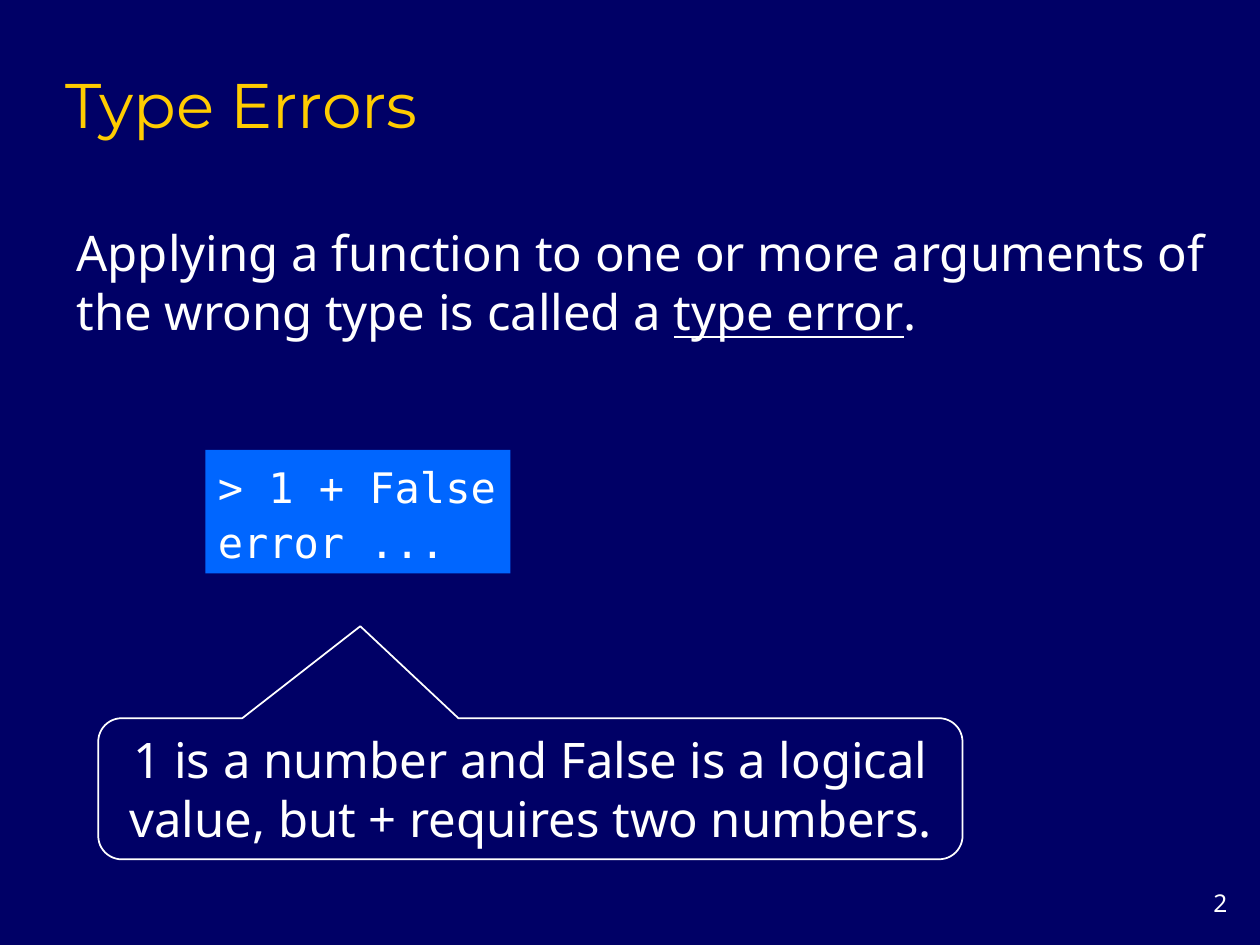
from pptx import Presentation
from pptx.dml.color import RGBColor
from pptx.enum.shapes import MSO_SHAPE
from pptx.enum.text import MSO_ANCHOR, PP_ALIGN
from pptx.util import Inches, Pt

RECTANGLE = MSO_SHAPE.RECTANGLE
CALLOUT = MSO_SHAPE.ROUNDED_RECTANGULAR_CALLOUT
TOP, MIDDLE, BOTTOM = MSO_ANCHOR.TOP, MSO_ANCHOR.MIDDLE, MSO_ANCHOR.BOTTOM
LEFT, CENTER, RIGHT = PP_ALIGN.LEFT, PP_ALIGN.CENTER, PP_ALIGN.RIGHT

COLORS = {
    "background": "000066",
    "title": "FFCC00",
    "text": "FFFFFF",
    "code": "0066FF",
}
TITLE_FONT = "Montserrat"
BODY_FONT = "Noto Sans"
CODE_FONT = "DejaVu Sans Mono"


def color(name):
    return RGBColor.from_string(COLORS[name])


def inches(box):
    return [Inches(length) for length in box]


def write_text(shape, lines, size, font=BODY_FONT, color_name="text",
               align=LEFT, anchor=MIDDLE, wrap=True, spacing=None):
    text_frame = shape.text_frame
    text_frame.word_wrap = wrap
    text_frame.vertical_anchor = anchor
    for index, runs in enumerate(lines):
        paragraph = text_frame.add_paragraph() if index else text_frame.paragraphs[0]
        paragraph.alignment = align
        paragraph.line_spacing = spacing
        for text in runs:
            run = paragraph.add_run()
            run.text = text
            run.font.size = Pt(size)
            run.font.name = font
            run.font.color.rgb = color(color_name)
    return text_frame


def add_title(slide, box, text):
    shape = slide.shapes.add_textbox(*inches(box))
    write_text(shape, [[text]], 36, TITLE_FONT, "title", anchor=BOTTOM)


def add_definition(slide, box, before, term, after):
    shape = slide.shapes.add_textbox(*inches(box))
    text_frame = write_text(shape, [[before, term, after]], 28)
    text_frame.paragraphs[0].runs[1].font.underline = True


def add_code(slide, box, lines):
    shape = slide.shapes.add_shape(RECTANGLE, *inches(box))
    shape.shadow.inherit = False
    shape.fill.solid()
    shape.fill.fore_color.rgb = color("code")
    shape.line.fill.background()
    write_text(shape, [[line] for line in lines], 24, CODE_FONT,
               wrap=False, spacing=1.1)


def add_callout(slide, box, tip, text):
    left, top, width, height = box
    tip_x, tip_y = tip
    shape = slide.shapes.add_shape(CALLOUT, *inches(box))
    shape.shadow.inherit = False
    shape.adjustments[0] = (tip_x - left) / width - 0.5
    shape.adjustments[1] = (tip_y - top) / height - 0.5
    shape.fill.background()
    shape.line.color.rgb = color("text")
    shape.line.width = Pt(1)
    write_text(shape, [[text]], 28, align=CENTER)


def add_page_number(slide, box, number):
    shape = slide.shapes.add_textbox(*inches(box))
    write_text(shape, [[number]], 14, align=RIGHT, anchor=TOP)


def main():
    presentation = Presentation()
    presentation.slide_width = Inches(10)
    presentation.slide_height = Inches(7.5)
    slide = presentation.slides.add_slide(presentation.slide_layouts[6])
    slide.background.fill.solid()
    slide.background.fill.fore_color.rgb = color("background")

    add_page_number(slide, (9.17, 7, 0.67, 0.33), "2")
    add_title(slide, (0.42, 0.42, 8.5, 0.75), "Type Errors")
    add_definition(
        slide, (0.51, 1.72, 9.16, 1.03),
        "Applying a function to one or more arguments of the wrong type is called a ",
        "type error", ".")
    add_code(slide, (1.63, 3.57, 2.42, 0.98), ["> 1 + False", "error ..."])
    add_callout(
        slide, (0.78, 5.7, 6.86, 1.12), (2.86, 4.97),
        "1 is a number and False is a logical value, but + requires two numbers.")

    presentation.save("out.pptx")


if __name__ == "__main__":
    main()
